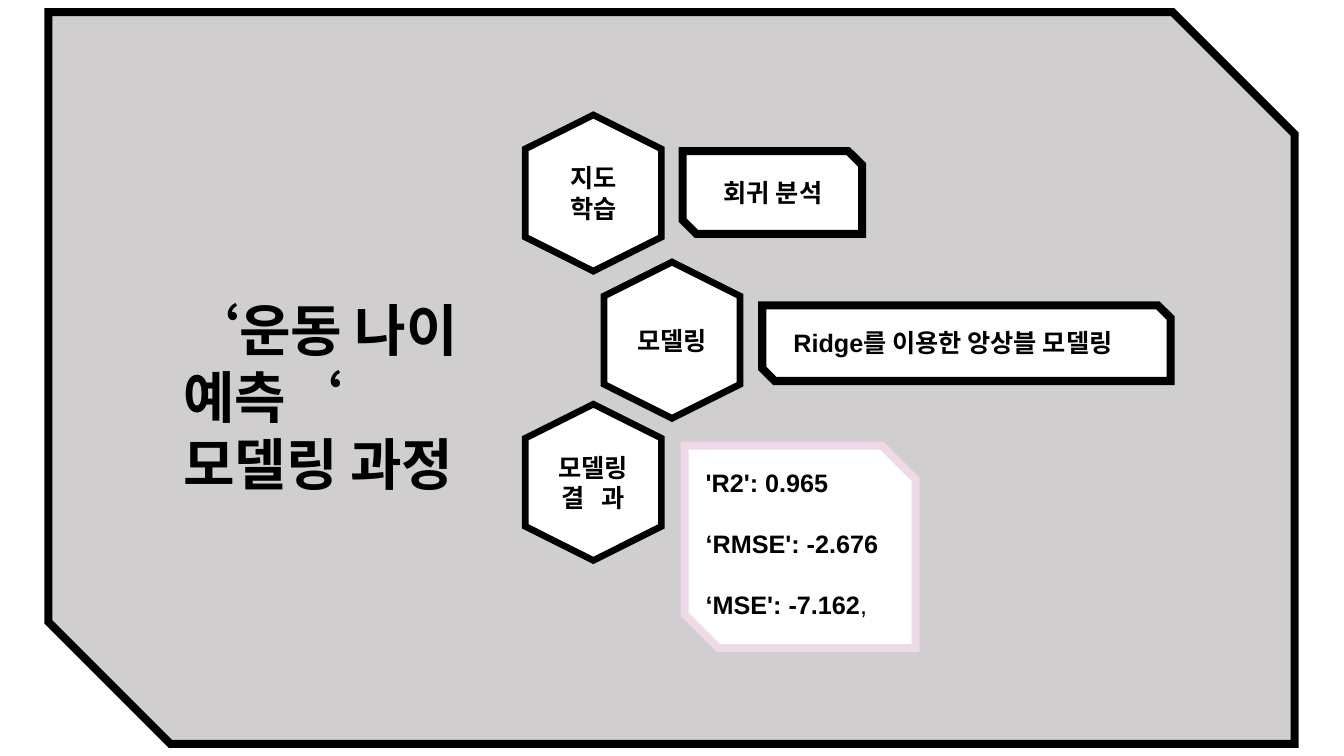
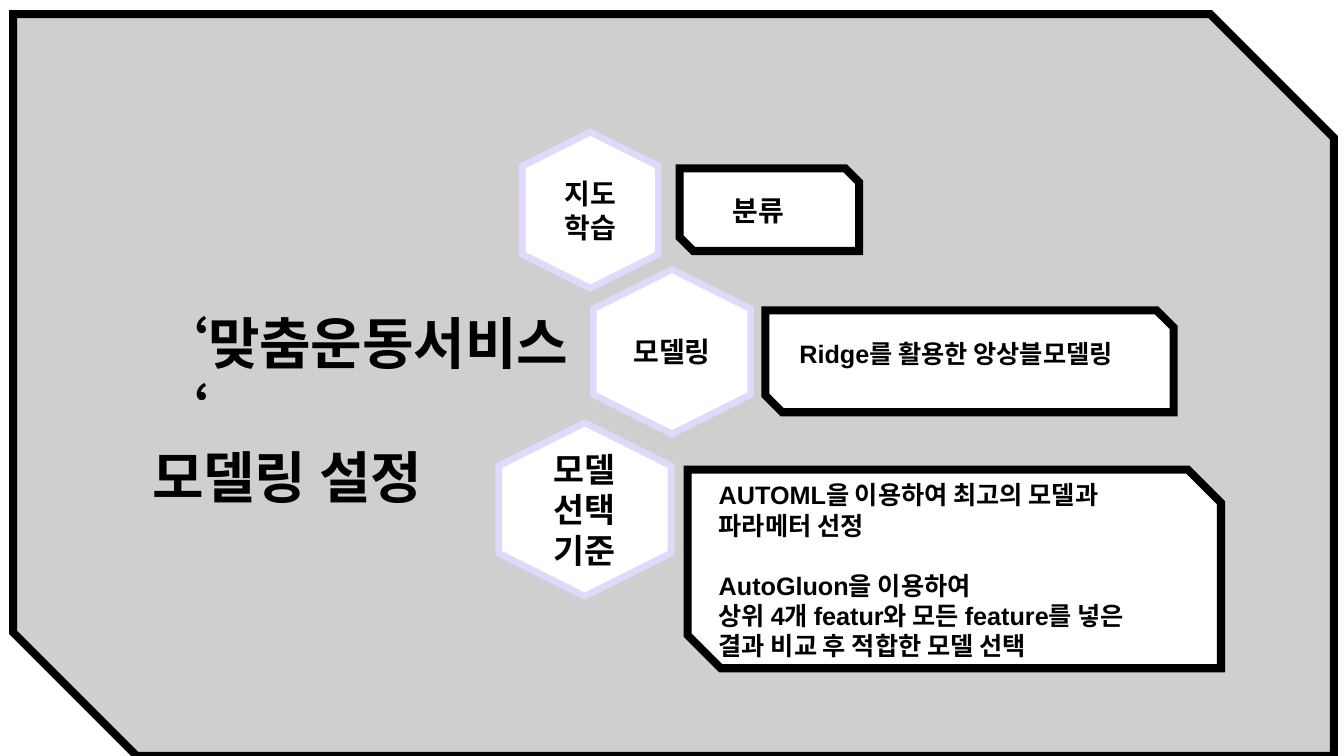
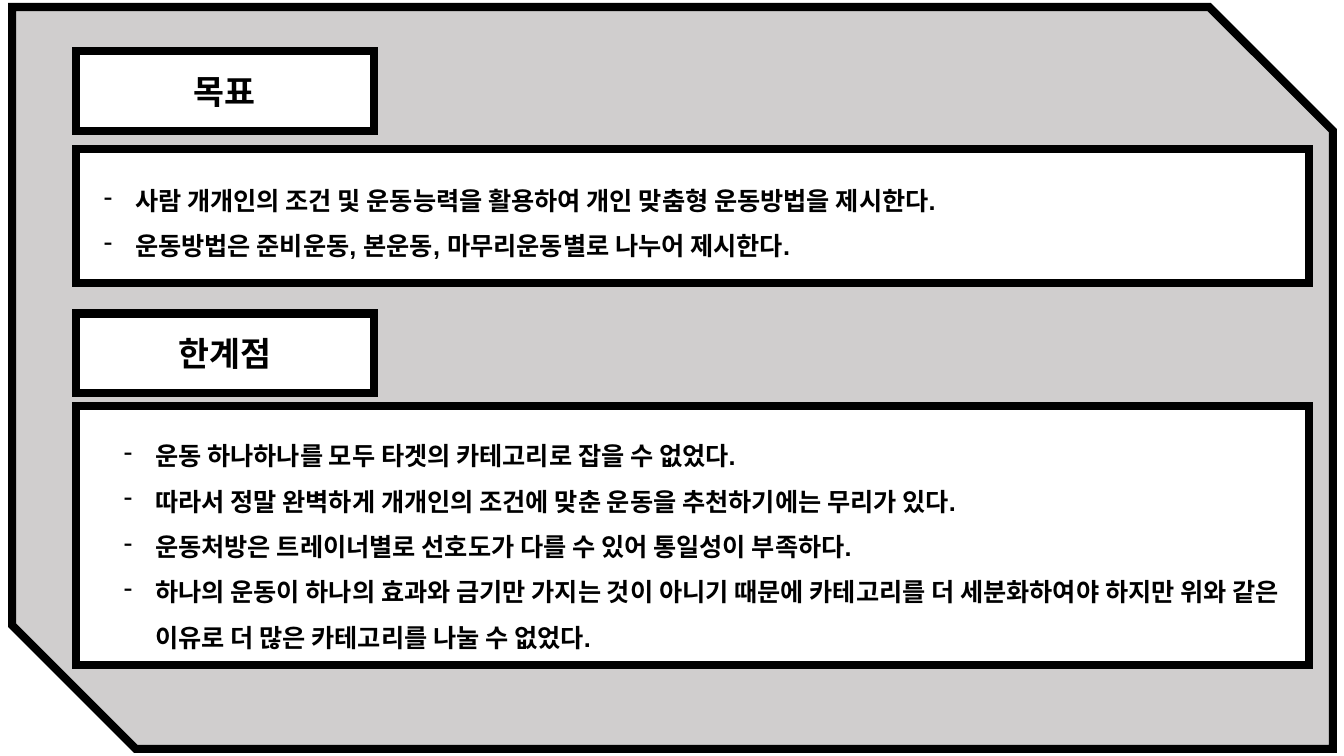
from dataclasses import dataclass

from lxml.etree import SubElement
from pptx import Presentation
from pptx.dml.color import RGBColor
from pptx.enum.shapes import MSO_SHAPE
from pptx.enum.text import MSO_ANCHOR, PP_ALIGN
from pptx.oxml.ns import qn
from pptx.util import Inches, Pt

LATIN_FONT = "Arial"
KOREAN_FONT = "Noto Sans CJK KR"
INK = "000000"
PAPER = "FFFFFF"
PANEL = "D0CECE"
LILAC = "E1D8FC"
PINK = "EEDAE7"
FRAME_WIDTH = 5.75
HEXAGON_WIDTH = 4.75
HEXAGON_LABEL = (1.15, 1.1)
TITLE_SIZE = 40
BULLET_INDENT = 0.31


@dataclass(frozen=True)
class Box:
    left: float
    top: float
    width: float
    height: float

    def emu(self) -> tuple:
        return tuple(Inches(v) for v in (self.left, self.top, self.width, self.height))


@dataclass(frozen=True)
class Hexagon:
    box: Box
    lines: tuple
    size: float
    outline: str
    last_line_tracking: float = 0


@dataclass(frozen=True)
class Caption:
    box: Box
    lines: tuple
    size: float = 18
    font: str = LATIN_FONT
    gaps_after: tuple = ()
    plain_tail: str = ""


@dataclass(frozen=True)
class Card:
    box: Box
    outline: str = INK


@dataclass(frozen=True)
class ProcessSlide:
    panel: Box
    title: Caption
    cards: tuple
    hexagons: tuple
    captions: tuple


@dataclass(frozen=True)
class Section:
    heading: str
    heading_top: float
    body: Box
    inset_left: float
    inset_top: float
    points: tuple


def colour(value: str) -> RGBColor:
    return RGBColor.from_string(value)


def add_outlined(slide, kind, box: Box, fill: str, outline: str = INK,
                 width: float = FRAME_WIDTH):
    shape = slide.shapes.add_shape(kind, *box.emu())
    shape.shadow.inherit = False
    shape.fill.solid()
    shape.fill.fore_color.rgb = colour(fill)
    shape.line.color.rgb = colour(outline)
    shape.line.width = Pt(width)
    SubElement(shape.line._get_or_add_ln(), qn("a:miter"), lim="800000")
    return shape


def format_run(run, size: float, font: str = LATIN_FONT, bold: bool = True) -> None:
    run.font.size = Pt(size)
    run.font.bold = bold
    run.font.name = font
    run.font.color.rgb = colour(INK)
    SubElement(run._r.get_or_add_rPr(), qn("a:ea"), typeface=KOREAN_FONT)


def write(frame, lines: tuple, size: float, font: str = LATIN_FONT,
          align=PP_ALIGN.LEFT, anchor=MSO_ANCHOR.TOP) -> None:
    frame.word_wrap = True
    frame.vertical_anchor = anchor
    frame.text = "\n".join(lines)
    for paragraph in frame.paragraphs:
        paragraph.alignment = align
        for run in paragraph.runs:
            format_run(run, size, font)


def add_panel(slide, box: Box) -> None:
    add_outlined(slide, MSO_SHAPE.SNIP_2_DIAG_RECTANGLE, box, PANEL)


def add_caption(slide, caption: Caption) -> None:
    frame = slide.shapes.add_textbox(*caption.box.emu()).text_frame
    write(frame, caption.lines, caption.size, caption.font)
    for paragraph, gap in zip(frame.paragraphs, caption.gaps_after):
        paragraph.space_after = Pt(gap)
    if caption.plain_tail:
        tail = frame.paragraphs[-1].add_run()
        tail.text = caption.plain_tail
        format_run(tail, caption.size, caption.font, bold=False)


def add_hexagon(slide, hexagon: Hexagon) -> None:
    box = hexagon.box
    outline = add_outlined(slide, MSO_SHAPE.HEXAGON, box, PAPER,
                           hexagon.outline, HEXAGON_WIDTH)
    outline.rotation = 90
    width, height = HEXAGON_LABEL
    label = Box(box.left + (box.width - width) / 2,
                box.top + (box.height - height) / 2, width, height)
    frame = slide.shapes.add_textbox(*label.emu()).text_frame
    write(frame, hexagon.lines, hexagon.size, KOREAN_FONT,
          PP_ALIGN.CENTER, MSO_ANCHOR.MIDDLE)
    if hexagon.last_line_tracking:
        for run in frame.paragraphs[-1].runs:
            run._r.get_or_add_rPr().set("spc", str(int(hexagon.last_line_tracking * 100)))


def add_section(slide, section: Section) -> None:
    heading = add_outlined(slide, MSO_SHAPE.RECTANGLE,
                           Box(0.75, section.heading_top, 2.96, 0.79), PAPER)
    write(heading.text_frame, (section.heading,), 24,
          align=PP_ALIGN.CENTER, anchor=MSO_ANCHOR.MIDDLE)
    frame = add_outlined(slide, MSO_SHAPE.RECTANGLE, section.body, PAPER).text_frame
    frame.margin_left = Inches(section.inset_left)
    frame.margin_top = Inches(section.inset_top)
    write(frame, section.points, 18)
    for paragraph in frame.paragraphs:
        paragraph.line_spacing = 1.5
        properties = paragraph._p.get_or_add_pPr()
        properties.set("marL", str(Inches(BULLET_INDENT)))
        properties.set("indent", str(-Inches(BULLET_INDENT)))
        SubElement(SubElement(properties, qn("a:buClr")), qn("a:srgbClr"), val=INK)
        SubElement(properties, qn("a:buChar"), char="-")


def draw_process(slide, process: ProcessSlide) -> None:
    add_panel(slide, process.panel)
    for card in process.cards:
        add_outlined(slide, MSO_SHAPE.SNIP_2_DIAG_RECTANGLE, card.box, PAPER, card.outline)
    for hexagon in process.hexagons:
        add_hexagon(slide, hexagon)
    for caption in (*process.captions, process.title):
        add_caption(slide, caption)


AGE_PREDICTION = ProcessSlide(
    panel=Box(0.48, 0.12, 12.36, 7.26),
    title=Caption(Box(1.72, 2.88, 4.27, 1.45), ("‘운동 나이 예측‘\v모델링 과정",), TITLE_SIZE),
    cards=(
        Card(Box(6.77, 1.5, 1.78, 0.82)),
        Card(Box(7.56, 3.03, 4.05, 0.75)),
        Card(Box(6.79, 4.42, 2.29, 2.01), PINK),
    ),
    hexagons=(
        Hexagon(Box(5.11, 1.24, 1.55, 1.35), ("지도", "학습"), 18, INK),
        Hexagon(Box(5.89, 2.7, 1.55, 1.35), ("모델링",), 18, INK),
        Hexagon(Box(5.11, 4.11, 1.55, 1.35), ("모델링", "결 과"), 18, INK, 4),
    ),
    captions=(
        Caption(Box(7.08, 1.71, 1.64, 0.4), ("회귀 분석",), font=KOREAN_FONT),
        Caption(Box(7.77, 3.2, 3.75, 0.4), ("Ridge를 이용한 앙상블 모델링",)),
        Caption(Box(6.9, 4.59, 2.52, 1.62),
                ("'R2': 0.965", "‘RMSE': -2.676", "‘MSE': -7.162"),
                gaps_after=(22, 22), plain_tail=","),
    ),
)

CUSTOM_EXERCISE = ProcessSlide(
    panel=Box(0.13, 0.14, 13.1, 7.36),
    title=Caption(Box(1.41, 3.01, 4.61, 1.45), ("‘맞춤운동서비스‘\v모델링 설정",), TITLE_SIZE),
    cards=(
        Card(Box(6.74, 1.67, 1.78, 0.82)),
        Card(Box(7.59, 3.08, 4.05, 1.01)),
        Card(Box(6.82, 4.66, 5.29, 1.97)),
    ),
    hexagons=(
        Hexagon(Box(5.08, 1.41, 1.55, 1.35), ("지도", "학습"), 20, LILAC),
        Hexagon(Box(5.85, 2.71, 1.63, 1.56), ("모델링",), 20, LILAC),
        Hexagon(Box(4.94, 4.2, 1.72, 1.71), ("모델", "선택", "기준"), 24, LILAC),
    ),
    captions=(
        Caption(Box(7.17, 1.87, 1.64, 0.44), ("분류",), 20, KOREAN_FONT),
        Caption(Box(7.83, 3.31, 3.75, 1.01), ("Ridge를 활용한 앙상블모델링",)),
        Caption(Box(7.03, 4.71, 4.39, 1.92),
                ("AUTOML을 이용하여 최고의 모델과 파라메터 선정",
                 "AutoGluon을 이용하여",
                 "상위 4개 featur와 모든 feature를 넣은 결과 비교 후 적합한 모델 선택"),
                gaps_after=(21.5,)),
    ),
)

GOAL_PANEL = Box(0.12, 0.07, 13.1, 7.36)
GOAL_SECTIONS = (
    Section("목표", 0.51, Box(0.75, 1.48, 12.23, 1.33), 0.28, 0.21, (
        "사람 개개인의 조건 및 운동능력을 활용하여 개인 맞춤형 운동방법을 제시한다.",
        "운동방법은 준비운동, 본운동, 마무리운동별로 나누어 제시한다.",
    )),
    Section("한계점", 3.11, Box(0.75, 4.03, 12.23, 2.57), 0.48, 0.19, (
        "운동 하나하나를 모두 타겟의 카테고리로 잡을 수 없었다.",
        "따라서 정말 완벽하게 개개인의 조건에 맞춘 운동을 추천하기에는 무리가 있다.",
        "운동처방은 트레이너별로 선호도가 다를 수 있어 통일성이 부족하다.",
        "하나의 운동이 하나의 효과와 금기만 가지는 것이 아니기 때문에 카테고리를 더 "
        "세분화하여야 하지만 위와 같은 이유로 더 많은 카테고리를 나눌 수 없었다.",
    )),
)


def main() -> None:
    deck = Presentation()
    deck.slide_width = Inches(13.33)
    deck.slide_height = Inches(7.5)
    blank = deck.slide_layouts[6]
    for process in (AGE_PREDICTION, CUSTOM_EXERCISE):
        draw_process(deck.slides.add_slide(blank), process)
    goals = deck.slides.add_slide(blank)
    add_panel(goals, GOAL_PANEL)
    for section in GOAL_SECTIONS:
        add_section(goals, section)
    deck.save("out.pptx")


if __name__ == "__main__":
    main()
